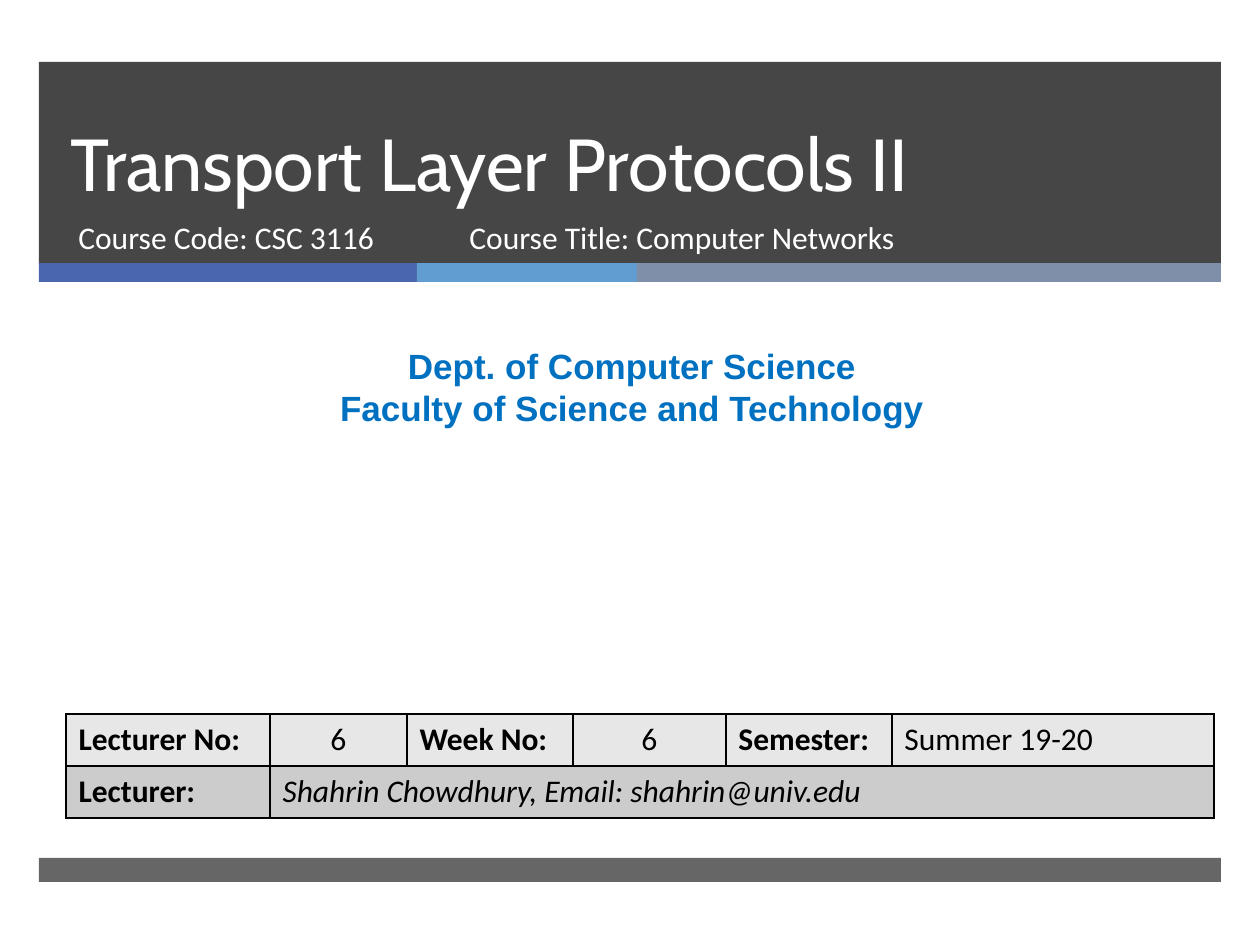
"""Build the title slide of a lecture on transport layer protocols."""
import pptx
import pptx.dml.color
import pptx.enum.shapes
import pptx.enum.text
import pptx.oxml
import pptx.oxml.ns
import pptx.util
import lxml.etree

SCALE = 914400 / 126
COLORS = {
    "dark": "262626", "blue": "4A66AC", "sky": "629DD1", "slate": "7F8FA9",
    "white": "FFFFFF", "dept": "0070C0", "black": "000000",
    "light": "E7E7E7", "gray": "CCCCCC",
}
ALIGN = pptx.enum.text.PP_ALIGN
ANCHOR = pptx.enum.text.MSO_ANCHOR


def px(size):
    """Turn pixels into EMU."""
    return pptx.util.Emu(round(size * SCALE))


def color(name):
    """Look up a named colour."""
    return pptx.dml.color.RGBColor.from_string(COLORS[name])


def sub(parent, tag, **attrs):
    """Add a drawing element under a parent."""
    return lxml.etree.SubElement(parent, pptx.oxml.ns.qn(tag), attrs)


def write(frame, text, font="Calibri", size=18, ink="white", bold=False,
          italic=False, align=ALIGN.LEFT, lead=None):
    """Write lines of text into a frame with one format."""
    frame.word_wrap = True
    for num, line in enumerate(text.split("\n")):
        para = frame.paragraphs[0] if num == 0 else frame.add_paragraph()
        para.alignment = align
        if lead:
            para.line_spacing = pptx.util.Pt(lead)
        run = para.add_run()
        run.text = line
        run.font.name = font
        run.font.size = pptx.util.Pt(size)
        run.font.bold = bold
        run.font.italic = italic
        run.font.color.rgb = color(ink)


def add_bar(slide, left, top, width, height, fill, alpha=100):
    """Add a plain bar, optionally see-through."""
    kind = pptx.enum.shapes.MSO_SHAPE.RECTANGLE
    bar = slide.shapes.add_shape(kind, px(left), px(top), px(width), px(height))
    bar.shadow.inherit = False
    bar.line.fill.background()
    bar.fill.solid()
    bar.fill.fore_color.rgb = color(fill)
    if alpha < 100:
        tint = bar.fill._xPr.find(".//" + pptx.oxml.ns.qn("a:srgbClr"))
        sub(tint, "a:alpha", val=str(alpha * 1000))


def add_text(slide, left, top, width, height, text, anchor=ANCHOR.TOP, **form):
    """Add a text box."""
    box = slide.shapes.add_textbox(px(left), px(top), px(width), px(height))
    box.text_frame.vertical_anchor = anchor
    write(box.text_frame, text, **form)


def style_cell(cell, fill):
    """Give a cell its borders and fill."""
    props = cell._tc.get_or_add_tcPr()
    for side in ("a:lnL", "a:lnR", "a:lnT", "a:lnB"):
        line = sub(props, side, w=str(pptx.util.Pt(1)))
        sub(sub(line, "a:solidFill"), "a:srgbClr", val=COLORS["black"])
    cell.fill.solid()
    cell.fill.fore_color.rgb = color(fill)


def add_grid(slide, left, top, widths, height, rows):
    """Add the table of lecture details, labels in bold."""
    table = slide.shapes.add_table(
        len(rows), len(widths), px(left), px(top),
        px(sum(widths)), px(height * len(rows))).table
    table.first_row = table.horz_banding = False
    for col, width in zip(table.columns, widths):
        col.width = px(width)
    for y, (fill, texts) in enumerate(rows):
        table.rows[y].height = px(height)
        for x in range(len(widths)):
            style_cell(table.cell(y, x), fill)
        if len(texts) < len(widths):
            table.cell(y, len(texts) - 1).merge(table.cell(y, len(widths) - 1))
        for x, text in enumerate(texts):
            write(table.cell(y, x).text_frame, text, ink="black",
                  bold=text.endswith(":"), italic="@" in text,
                  align=ALIGN.CENTER if text.isdigit() else ALIGN.LEFT)


def main():
    """Build and save the slide."""
    deck = pptx.Presentation()
    deck.slide_width, deck.slide_height = px(1260), px(945)
    slide = deck.slides.add_slide(deck.slide_layouts[6])

    add_bar(slide, 39, 62, 1182, 202, "dark", alpha=85)
    left = 39
    for width, fill in ((378, "blue"), (220, "sky"), (584, "slate")):
        add_bar(slide, left, 263, width, 19, fill)
        left += width
    add_bar(slide, 39, 858, 1182, 24, "dark", alpha=70)

    add_text(slide, 58, 62, 1076, 150, "Transport Layer Protocols II",
             anchor=ANCHOR.BOTTOM, font="Cabin", size=42, lead=46)
    add_text(slide, 66, 212, 384, 67, "Course Code: CSC 3116")
    add_text(slide, 10, 338, 1244, 97,
             "Dept. of Computer Science\nFaculty of Science and Technology",
             font="Arial", size=20, ink="dept", bold=True, align=ALIGN.CENTER)
    add_text(slide, 457, 212, 573, 67, "Course Title: Computer Networks")

    add_grid(slide, 66, 714, (204, 137, 166, 153, 166, 322), 52, (
        ("light", ("Lecturer No:", "6", "Week No:", "6", "Semester:",
                   "Summer 19-20")),
        ("gray", ("Lecturer:", "Shahrin Chowdhury, Email: shahrin@univ.edu")),
    ))
    deck.save("out.pptx")


if __name__ == "__main__":
    main()
